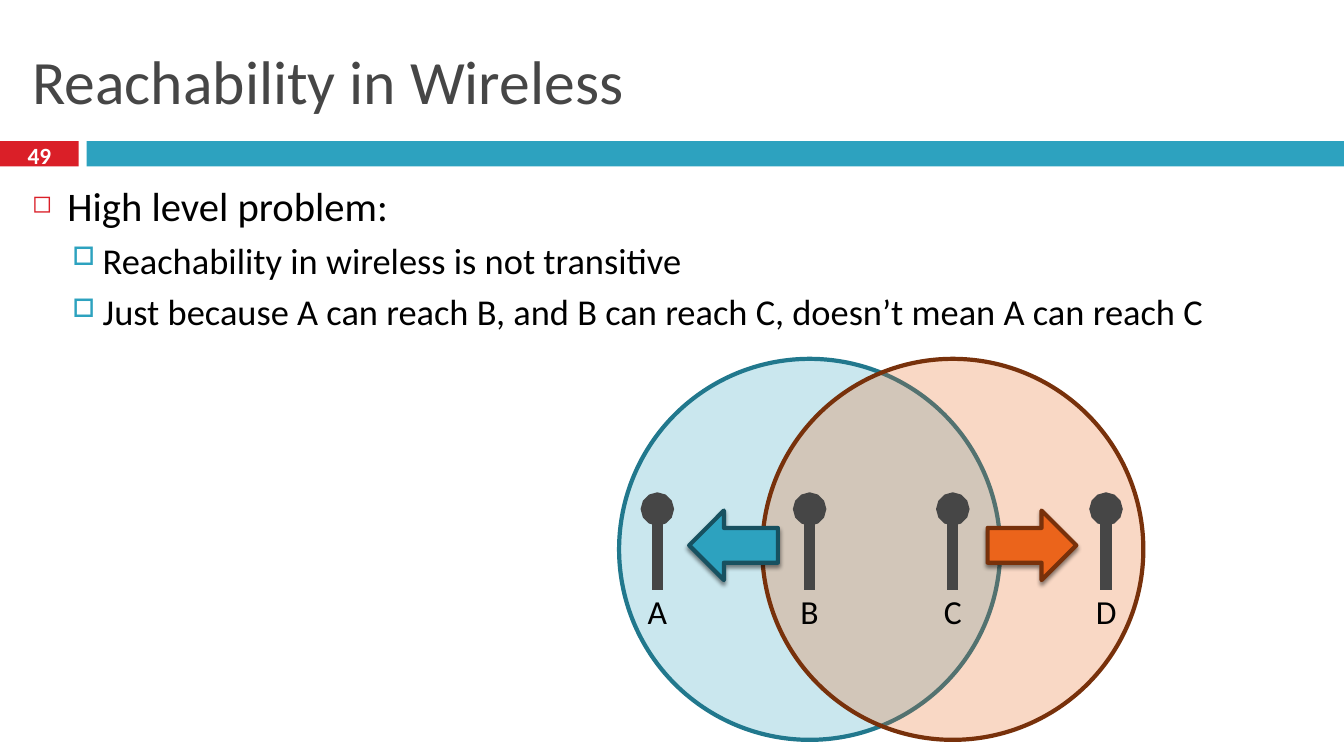
import dataclasses

import lxml.etree
import pptx
import pptx.dml.color
import pptx.enum.shapes
import pptx.enum.text
import pptx.oxml
import pptx.oxml.ns
import pptx.util

Inches = pptx.util.Inches
Pt = pptx.util.Pt
SHAPE = pptx.enum.shapes.MSO_SHAPE
ALIGN = pptx.enum.text.PP_ALIGN
ANCHOR = pptx.enum.text.MSO_ANCHOR

FONT = "Calibri"
COLORS = {
    "red": "DA1F28",
    "teal": "2DA2BF",
    "teal_edge": "21788D",
    "teal_dark": "175160",
    "orange": "EB641B",
    "brown": "78310B",
    "gray": "464646",
    "black": "000000",
    "white": "FFFFFF",
}


@dataclasses.dataclass
class Bullet:
    text: str
    level: int
    size: float
    space_before: float
    margin: float
    hanging: float
    symbol: str
    color: str
    percent: int


@dataclasses.dataclass
class Radio:
    """A wireless node: a mast with a round top and a letter below."""
    name: str
    x: float


@dataclasses.dataclass
class Range:
    """The circle that one node can reach."""
    left: float
    fill: str
    line: str


@dataclasses.dataclass
class Transmission:
    """A block arrow that points from one node to another."""
    left: float
    rotation: int
    fill: str
    line: str


BULLETS = [
    Bullet("High level problem:", 0, 29, 7, 0.35, 0.35, "◻", "red", 60),
    *(
        Bullet(text, 1, 26, 5.5, 0.7, 0.3, "□", "teal", 70)
        for text in (
            "Reachability in wireless is not transitive",
            "Just because A can reach B, and B can reach C, doesn’t mean A can reach C",
        )
    ),
]
RADIOS = [Radio("A", 6.52), Radio("B", 8.03), Radio("C", 9.45), Radio("D", 10.97)]
RANGES = [Range(6.14, "teal", "teal_edge"), Range(7.56, "orange", "brown")]
TRANSMISSIONS = [
    Transmission(6.93, 270, "teal", "teal_dark"),
    Transmission(9.89, 90, "orange", "brown"),
]


def rgb(name: str) -> pptx.dml.color.RGBColor:
    return pptx.dml.color.RGBColor.from_string(COLORS[name])


def add_xml(parent, tag: str, **attributes: str):
    child = lxml.etree.SubElement(parent, pptx.oxml.ns.qn(tag))
    for key, value in attributes.items():
        child.set(key, value)
    return child


def format_paragraph(paragraph, size: float, color: str, bold: bool = False) -> None:
    for run in paragraph.runs:
        run.font.name = FONT
        run.font.size = Pt(size)
        run.font.bold = bold
        run.font.color.rgb = rgb(color)


def add_filled(slide, kind, left: float, top: float, width: float, height: float,
               fill: str, line: str = ""):
    shape = slide.shapes.add_shape(
        kind, Inches(left), Inches(top), Inches(width), Inches(height))
    shape.fill.solid()
    shape.fill.fore_color.rgb = rgb(fill)
    if line:
        shape.line.color.rgb = rgb(line)
        shape.line.width = Pt(3)
    else:
        shape.line.fill.background()
    shape.shadow.inherit = False
    return shape


def add_label(slide, text: str, left: float, top: float, width: float, height: float,
              size: float, color: str, bold: bool = False):
    box = slide.shapes.add_textbox(Inches(left), Inches(top), Inches(width), Inches(height))
    box.text_frame.text = text
    box.text_frame.word_wrap = False
    box.text_frame.vertical_anchor = ANCHOR.MIDDLE
    paragraph = box.text_frame.paragraphs[0]
    paragraph.alignment = ALIGN.CENTER
    format_paragraph(paragraph, size, color, bold)


def set_title(slide, text: str) -> None:
    title = slide.shapes.title
    title.left, title.top = Inches(0.22), Inches(0.25)
    title.width, title.height = Inches(12.89), Inches(1.08)
    title.text_frame.text = text
    title.text_frame.vertical_anchor = ANCHOR.MIDDLE
    title.text_frame.paragraphs[0].alignment = ALIGN.LEFT
    format_paragraph(title.text_frame.paragraphs[0], 44, "gray")


def add_bullets(slide, bullets: list[Bullet]) -> None:
    box = slide.shapes.add_textbox(Inches(0.22), Inches(1.75), Inches(12.89), Inches(5.58))
    frame = box.text_frame
    frame.word_wrap = True
    frame.text = "\n".join(bullet.text for bullet in bullets)
    for paragraph, bullet in zip(frame.paragraphs, bullets):
        paragraph.level = bullet.level
        paragraph.space_before = Pt(bullet.space_before)
        format_paragraph(paragraph, bullet.size, "black")
        properties = paragraph._p.get_or_add_pPr()
        properties.set("marL", str(Inches(bullet.margin)))
        properties.set("indent", str(-Inches(bullet.hanging)))
        add_xml(add_xml(properties, "a:buClr"), "a:srgbClr", val=COLORS[bullet.color])
        add_xml(properties, "a:buSzPct", val=str(bullet.percent * 1000))
        add_xml(properties, "a:buChar", char=bullet.symbol)


def add_range(slide, area: Range) -> None:
    circle = add_filled(slide, SHAPE.OVAL, area.left, 3.56, 3.78, 3.78, area.fill, area.line)
    color = circle._element.spPr.find(pptx.oxml.ns.qn("a:solidFill"))[0]
    add_xml(color, "a:alpha", val="25000")


def add_transmission(slide, arrow: Transmission) -> None:
    shape = add_filled(
        slide, SHAPE.UP_ARROW, arrow.left, 4.97, 0.69, 0.88, arrow.fill, arrow.line)
    shape.rotation = arrow.rotation
    effects = shape._element.spPr.find(pptx.oxml.ns.qn("a:effectLst"))
    shadow = add_xml(effects, "a:outerShdw", blurRad=str(Pt(3)), dist=str(Pt(2.4)),
                     dir="5400000", rotWithShape="0")
    add_xml(add_xml(shadow, "a:srgbClr", val=COLORS["black"]), "a:alpha", val="45000")


def add_radio(slide, radio: Radio) -> None:
    mast = slide.shapes.add_connector(
        pptx.enum.shapes.MSO_CONNECTOR.STRAIGHT,
        Inches(radio.x), Inches(5.05), Inches(radio.x), Inches(5.85))
    mast.line.color.rgb = rgb("gray")
    mast.line.width = Pt(8)
    add_xml(mast.line._get_or_add_ln(), "a:headEnd", type="oval")
    add_xml(mast._element.spPr, "a:effectLst")
    add_label(slide, radio.name, radio.x - 0.2, 5.81, 0.4, 0.5, 24, "black")


def main() -> None:
    presentation = pptx.Presentation()
    presentation.slide_width = Inches(13.33)
    presentation.slide_height = Inches(7.5)
    slide = presentation.slides.add_slide(presentation.slide_layouts[5])

    # Header: title, coloured band and slide number
    set_title(slide, "Reachability in Wireless")
    add_filled(slide, SHAPE.RECTANGLE, 0, 1.4, 0.78, 0.25, "red")
    add_filled(slide, SHAPE.RECTANGLE, 0.86, 1.4, 12.47, 0.25, "teal")
    add_label(slide, "49", 0, 1.37, 0.78, 0.33, 16.6, "white", bold=True)

    # Body text
    add_bullets(slide, BULLETS)

    # Diagram: ranges, transmissions and nodes
    for area in RANGES:
        add_range(slide, area)
    for arrow in TRANSMISSIONS:
        add_transmission(slide, arrow)
    for radio in RADIOS:
        add_radio(slide, radio)

    presentation.save("out.pptx")


if __name__ == "__main__":
    main()
